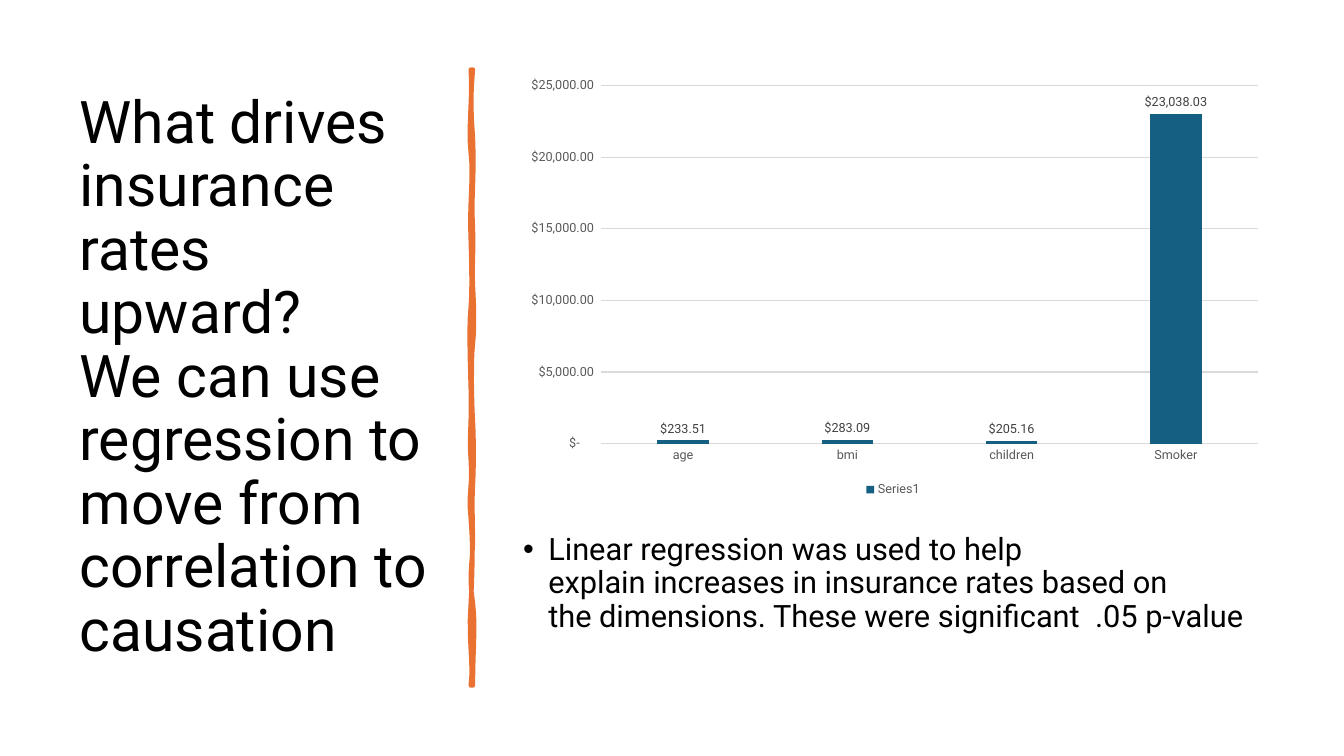
from pptx import Presentation
from pptx.chart.data import CategoryChartData
from pptx.dml.color import RGBColor
from pptx.enum.chart import XL_CHART_TYPE as Kind, XL_LABEL_POSITION as Spot
from pptx.enum.chart import XL_LEGEND_POSITION as Side, XL_TICK_MARK as Tick
from pptx.enum.text import MSO_ANCHOR as Anchor
from pptx.oxml import parse_xml
from pptx.oxml.ns import nsdecls
from pptx.util import Inches, Pt

BLACK = RGBColor(0x00, 0x00, 0x00)
ORANGE = RGBColor(0xE9, 0x71, 0x32)
BLUE = RGBColor(0x15, 0x60, 0x82)
GRID = RGBColor(0xD9, 0xD9, 0xD9)
GREY = RGBColor(0x59, 0x59, 0x59)
DARK = RGBColor(0x40, 0x40, 0x40)
FONT = "Roboto"
MONEY = ('_([$$-409]* #,##0.00_);_([$$-409]* \\(#,##0.00\\);'
         '_([$$-409]* "-"??_);_(@_)')

WIDE, HIGH = Inches(13.33), Inches(7.5)
# Columns and rows in percent of the slide: start, size
LEFT, RIGHT = (5.18, 28.05), (38.18, 56.55)
FULL, UPPER, LOWER = (9.33, 81.47), (9.2, 57.07), (70, 20.8)

# A tilde stands for a space that does not break
HARD = chr(160)
TITLE = ["What drives insurance rates upward?",
         "We can use regression~to move~from correlation to causation"]
POINT = ["Linear~regression was used~to help explain~increases in~insurance "
         "rates based on the~dimensions. These were significant~ .05 p-value"]
RATES = {"age": 233.51, "bmi": 283.09, "children": 205.16, "Smoker": 23038.03}

# Bezier points of the brush stroke, in inches: down the left, up the right
DOWN = [(4.67, 0.69), (4.69, 0.94), (4.64, 1.3), (4.67, 1.52),
        (4.7, 1.73), (4.65, 2.05), (4.67, 2.4),
        (4.68, 2.76), (4.68, 2.88), (4.67, 3.04),
        (4.65, 3.21), (4.66, 3.53), (4.67, 3.87),
        (4.68, 4.21), (4.65, 4.33), (4.67, 4.57),
        (4.69, 4.82), (4.64, 4.89), (4.67, 5.15),
        (4.69, 5.41), (4.69, 5.62), (4.67, 5.98),
        (4.64, 6.33), (4.7, 6.6), (4.67, 6.8)]
UP = [(4.69, 6.8), (4.69, 6.43), (4.72, 6.22), (4.69, 5.98),
      (4.65, 5.74), (4.68, 5.61), (4.69, 5.4),
      (4.69, 5.19), (4.68, 4.98), (4.69, 4.82),
      (4.7, 4.66), (4.7, 4.33), (4.69, 4.17),
      (4.68, 4.02), (4.67, 3.57), (4.69, 3.41),
      (4.71, 3.25), (4.7, 3), (4.69, 2.83),
      (4.68, 2.66), (4.7, 2.5), (4.69, 2.25),
      (4.67, 2), (4.71, 1.73), (4.69, 1.36),
      (4.66, 1), (4.68, 0.83), (4.69, 0.69)]


def place(col, row):
    """Turn a column and a row into left, top, width, height."""
    return [int(part * size / 100) for part, size in
            ((col[0], WIDE), (row[0], HIGH), (col[1], WIDE), (row[1], HIGH))]


def style(font, size, color):
    font.name, font.size, font.color.rgb = FONT, Pt(size), color


def add_text(slide, col, row, lines, size, anchor):
    frame = slide.shapes.add_textbox(*place(col, row)).text_frame
    frame.word_wrap = True
    frame.vertical_anchor = anchor
    para = frame.paragraphs[0]
    para.line_spacing = 0.9
    for i, line in enumerate(lines):
        if i:
            para.add_line_break()
        run = para.add_run()
        run.text = line.replace("~", HARD)
        style(run.font, size, BLACK)
    return para


def add_bullet(para):
    para.space_before = Pt(10)
    props = para._p.get_or_add_pPr()
    props.set("marL", str(Inches(0.25)))
    props.set("indent", str(-Inches(0.25)))
    for tag in ('buFont {} typeface="Arial"', 'buChar {} char="•"'):
        props.append(parse_xml("<a:" + tag.format(nsdecls("a")) + "/>"))


def trace(edge, steps=6):
    """Sample the chain of cubic curves along one edge, in slide units."""
    dots = [edge[0]]
    for i in range(0, len(edge) - 1, 3):
        for t in (step / steps for step in range(1, steps + 1)):
            parts = ((1 - t) ** 3, 3 * t * (1 - t) ** 2,
                     3 * t * t * (1 - t), t ** 3)
            dots.append(tuple(sum(k * dot[axis] for k, dot in
                                  zip(parts, edge[i:i + 4]))
                              for axis in (0, 1)))
    return [(Inches(x), Inches(y)) for x, y in dots]


def add_stroke(slide):
    first, *rest = trace(DOWN) + trace(UP)
    pen = slide.shapes.build_freeform(*first)
    pen.add_line_segments(rest, close=True)
    shape = pen.convert_to_shape()
    shape.shadow.inherit = False
    shape.fill.solid()
    shape.fill.fore_color.rgb = ORANGE
    shape.line.color.rgb = ORANGE
    shape.line.width = Pt(3.25)


def rule(line):
    line.color.rgb, line.width = GRID, Pt(0.75)


def add_bars(slide):
    data = CategoryChartData(number_format=MONEY)
    data.categories = list(RATES)
    data.add_series("Series1", list(RATES.values()))
    chart = slide.shapes.add_chart(
        Kind.COLUMN_CLUSTERED, *place(RIGHT, UPPER), data).chart
    style(chart.font, 10, BLACK)
    chart.has_title = False

    # Legend
    chart.has_legend = True
    chart.legend.position = Side.BOTTOM
    chart.legend.include_in_layout = False
    style(chart.legend.font, 9, GREY)

    # Axes
    cats, vals = chart.category_axis, chart.value_axis
    for axis in (cats, vals):
        axis.major_tick_mark = axis.minor_tick_mark = Tick.NONE
        style(axis.tick_labels.font, 9, GREY)
    rule(cats.format.line)
    rule(vals.major_gridlines.format.line)
    vals.format.line.fill.background()
    vals.minimum_scale, vals.maximum_scale, vals.major_unit = 0, 25000, 5000
    vals.tick_labels.number_format = MONEY
    vals.tick_labels.number_format_is_linked = False

    # Bars and their labels
    plot = chart.plots[0]
    plot.gap_width, plot.overlap = 219, -27
    plot.vary_by_categories = False
    bars = plot.series[0]
    bars.format.fill.solid()
    bars.format.fill.fore_color.rgb = BLUE
    labels = bars.data_labels
    labels.show_value = True
    labels.position = Spot.OUTSIDE_END
    labels.number_format = MONEY
    labels.number_format_is_linked = False
    style(labels.font, 9, DARK)


def main():
    deck = Presentation()
    deck.slide_width, deck.slide_height = WIDE, HIGH
    slide = deck.slides.add_slide(deck.slide_layouts[6])
    add_text(slide, LEFT, FULL, TITLE, 42, Anchor.MIDDLE)
    add_stroke(slide)
    add_bullet(add_text(slide, RIGHT, LOWER, POINT, 22, Anchor.TOP))
    add_bars(slide)
    deck.save("out.pptx")


if __name__ == "__main__":
    main()
